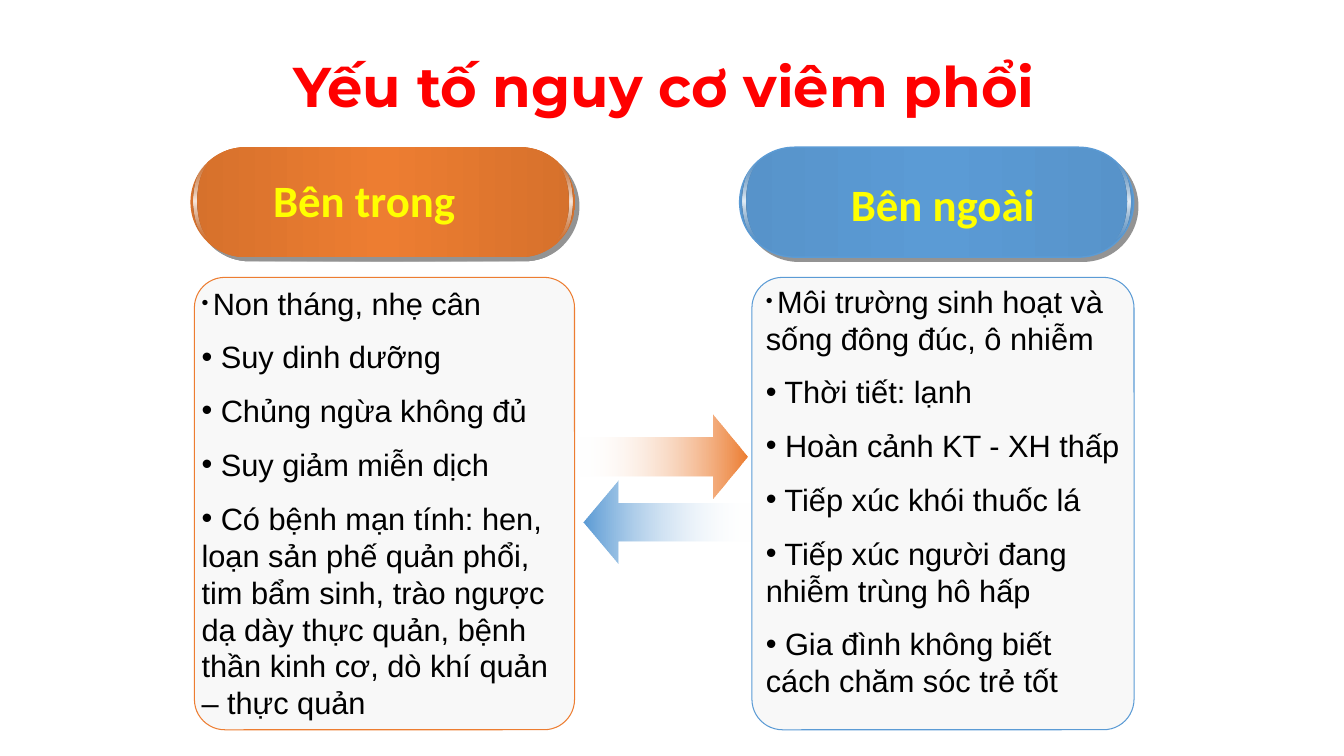
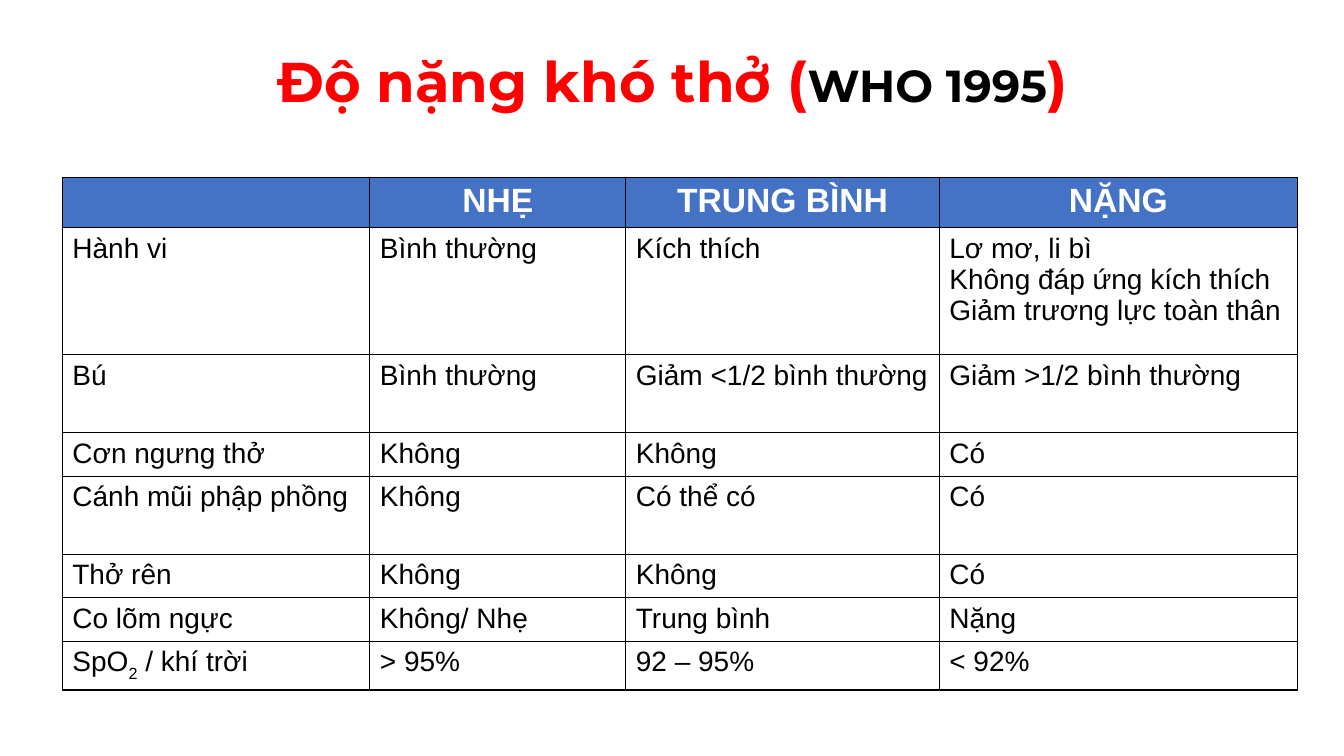
"""Build two slides on childhood pneumonia: risk factors and severity of breathing difficulty."""
from lxml.etree import SubElement
from pptx import Presentation
from pptx.dml.color import RGBColor
from pptx.enum.shapes import MSO_SHAPE as Preset
from pptx.enum.text import MSO_ANCHOR as Anchor, PP_ALIGN as Align
from pptx.oxml.ns import qn
from pptx.util import Cm, Pt

COLORS = {
    "title": "FF0000", "text": "000000", "label": "FFFF00", "white": "FFFFFF",
    "panel": "F8F8F8", "shine": "B6B6B6", "shadow": "292929", "header": "4472C4",
    "orange": "ED7D31", "orange_edge": "D6712C", "blue": "5B9BD5", "blue_edge": "5793CA",
}
BODY_FONT, LABEL_FONT, TITLE_FONT = "Arial", "Calibri", "Montserrat"

INNER_FACTORS = [
    "Non tháng, nhẹ cân", "Suy dinh dưỡng", "Chủng ngừa không đủ", "Suy giảm miễn dịch",
    "Có bệnh mạn tính: hen, \vloạn sản phế quản phổi, tim bẩm sinh, trào ngược dạ dày "
    "thực quản, bệnh thần kinh cơ, dò khí quản – thực quản",
]
OUTER_FACTORS = [
    "Môi trường sinh hoạt và sống đông đúc, ô nhiễm", "Thời tiết: lạnh",
    "Hoàn cảnh KT - XH thấp", "Tiếp xúc khói thuốc lá",
    "Tiếp xúc người đang nhiễm trùng hô hấp", "Gia đình không biết cách chăm sóc trẻ tốt",
]
SEVERITY_ROWS = [
    ["", "NHẸ", "TRUNG BÌNH", "NẶNG"],
    ["Hành vi", "Bình thường", "Kích thích",
     "Lơ mơ, li bì\nKhông đáp ứng kích thích\nGiảm trương lực toàn thân"],
    ["Bú", "Bình thường", "Giảm <1/2 bình thường", "Giảm >1/2 bình thường"],
    ["Cơn ngưng thở", "Không", "Không", "Có"],
    ["Cánh mũi phập phồng", "Không", "Có thể có", "Có"],
    ["Thở rên", "Không", "Không", "Có"],
    ["Co lõm ngực", "Không/ Nhẹ", "Trung bình", "Nặng"],
    ["SpO", "> 95%", "92 – 95%", "< 92%"],
]
COLUMN_WIDTHS = [7.75, 6.45, 7.9, 9.02]
ROW_HEIGHTS = [1.27, 3.2, 1.96, 1.09, 1.96, 1.09, 1.09, 1.09]


def rgb(name):
    return RGBColor.from_string(COLORS[name])


class Deck:
    def __init__(self):
        self.presentation = Presentation()
        self.presentation.slide_width = Cm(33.87)
        self.presentation.slide_height = Cm(19.05)
        self.slide = None

    def new_slide(self):
        self.slide = self.presentation.slides.add_slide(self.presentation.slide_layouts[6])

    def style(self, run, size, color="text", font=BODY_FONT, bold=False):
        run.font.size, run.font.name, run.font.bold = Pt(size), font, bold
        run.font.color.rgb = rgb(color)

    def text_box(self, left, top, width, height):
        text_frame = self.slide.shapes.add_textbox(
            Cm(left), Cm(top), Cm(width), Cm(height)).text_frame
        text_frame.word_wrap = True
        return text_frame

    def title(self, left, top, parts):
        text_frame = self.text_box(left, top, 29.21, 3.68)
        text_frame.vertical_anchor = Anchor.MIDDLE
        paragraph = text_frame.paragraphs[0]
        paragraph.alignment = Align.CENTER
        paragraph.line_spacing = 0.9
        for text, size, color in parts:
            run = paragraph.add_run()
            run.text = text
            self.style(run, size, color, TITLE_FONT, True)

    def label(self, left, top, text):
        text_frame = self.text_box(left, top, 6.22, 1.63)
        text_frame.text = text
        paragraph = text_frame.paragraphs[0]
        paragraph.alignment = Align.CENTER
        self.style(paragraph.runs[0], 32, "label", LABEL_FONT, True)

    def shape(self, preset, left, top, width, height, adjustments, line=None, line_width=0.75):
        shape = self.slide.shapes.add_shape(preset, Cm(left), Cm(top), Cm(width), Cm(height))
        shape.shadow.inherit = False
        for index, value in enumerate(adjustments):
            shape.adjustments[index] = value
        if line:
            shape.line.color.rgb = rgb(line)
            shape.line.width = Pt(line_width)
        else:
            shape.line.fill.background()
        return shape

    def gradient(self, shape, stops, angle=0):
        shape.fill.gradient()
        shape.fill.gradient_angle = angle
        stop_list = shape._element.spPr.find(qn("a:gradFill")).find(qn("a:gsLst"))
        for stop in list(stop_list):
            stop_list.remove(stop)
        for position, color, opacity in stops:
            stop = SubElement(stop_list, qn("a:gs"), pos=str(position * 1000))
            fill = SubElement(stop, qn("a:srgbClr"), val=COLORS[color])
            SubElement(fill, qn("a:alpha"), val=str(opacity * 1000))

    def drop_shadow(self, shape):
        effects = shape._element.spPr.find(qn("a:effectLst"))
        shadow = SubElement(effects, qn("a:outerShdw"), blurRad="0", dist=str(Pt(4.2)),
                            dir="2700000", algn="ctr", rotWithShape="0")
        color = SubElement(shadow, qn("a:srgbClr"), val=COLORS["shadow"])
        SubElement(color, qn("a:alpha"), val="50000")

    def pill(self, left, width, color, line=None):
        pill = self.shape(Preset.ROUNDED_RECTANGLE, left, 3.71, width, 2.77, [0.5], line, 1)
        edge = color + "_edge"
        self.gradient(pill, [(0, edge, 100), (50, color, 100), (100, edge, 100)])
        self.drop_shadow(pill)
        inset, shine_width = 0.08, 0.43
        for shine_left, rotation in ((left + width - inset - shine_width, 180), (left + inset, 0)):
            shine = self.shape(Preset.MOON, shine_left, 4.11, shine_width, 1.93, [0.22])
            shine.rotation = rotation
            self.gradient(shine, [(0, "shine", 0), (50, "white", 84), (100, "shine", 0)], 90)

    def panel(self, left, width, color):
        panel = self.shape(Preset.ROUNDED_RECTANGLE, left, 6.99, width, 11.4, [0.08], color)
        panel.fill.solid()
        panel.fill.fore_color.rgb = rgb("panel")

    def arrow(self, preset, left, top, stops):
        arrow = self.shape(preset, left, top, 4.25, 2.11, [0.465, 0.421])
        self.gradient(arrow, stops)

    def bullets(self, left, top, items):
        text_frame = self.text_box(left, top, 9.47, 11.38)
        for index, item in enumerate(items):
            paragraph = text_frame.add_paragraph() if index else text_frame.paragraphs[0]
            paragraph.space_before = paragraph.space_after = Pt(6)
            paragraph.line_spacing = 1.0
            if index:
                paragraph.text = " " + item
            else:
                paragraph.text = " "
                paragraph.add_run().text = item
            for run in paragraph.runs:
                self.style(run, 22)
            if not index:
                self.style(paragraph.runs[0], 14, font=LABEL_FONT, bold=True)
            properties = paragraph._p.get_or_add_pPr()
            SubElement(properties, qn("a:buFont"), typeface=BODY_FONT)
            SubElement(properties, qn("a:buChar"), char="•")

    def border(self, cell):
        properties = cell._tc.get_or_add_tcPr()
        for index, side in enumerate(("lnL", "lnR", "lnT", "lnB")):
            line = properties.makeelement(qn("a:" + side), {"w": str(Pt(1))})
            fill = SubElement(line, qn("a:solidFill"))
            SubElement(fill, qn("a:srgbClr"), val=COLORS["text"])
            properties.insert(index, line)

    def table(self, left, top, rows, widths, heights):
        table = self.slide.shapes.add_table(
            len(rows), len(widths), Cm(left), Cm(top), Cm(sum(widths)), Cm(sum(heights))).table
        for column, width in zip(table.columns, widths):
            column.width = Cm(width)
        for row, height in zip(table.rows, heights):
            row.height = Cm(height)
        for row_index, row in enumerate(rows):
            header = row_index == 0
            for column_index, text in enumerate(row):
                cell = table.cell(row_index, column_index)
                cell.text_frame.text = text
                cell.fill.solid()
                cell.fill.fore_color.rgb = rgb("header" if header else "white")
                self.border(cell)
                for paragraph in cell.text_frame.paragraphs:
                    paragraph.alignment = Align.CENTER if header else Align.LEFT
                    for run in paragraph.runs:
                        self.style(run, 24 if header else 20,
                                   "white" if header else "text", bold=header)
        return table

    def subscript(self, cell, subscript, rest):
        paragraph = cell.text_frame.paragraphs[0]
        for text, baseline in ((subscript, "-25000"), (rest, "0")):
            run = paragraph.add_run()
            run.text = text
            self.style(run, 20)
            run._r.get_or_add_rPr().set("baseline", baseline)


def main():
    deck = Deck()
    deck.new_slide()
    deck.title(2.13, 0.41, [("Yếu tố nguy cơ viêm phổi", 40, "title")])
    deck.pill(4.8, 9.7, "orange")
    deck.pill(18.64, 9.93, "blue", "blue")
    deck.panel(4.9, 9.58, "orange")
    deck.panel(18.95, 9.63, "blue")
    deck.label(6.07, 4.22, "Bên trong")
    deck.label(20.65, 4.34, "Bên ngoài")
    deck.arrow(Preset.RIGHT_ARROW, 14.6, 10.45, [(0, "white", 0), (100, "orange", 100)])
    deck.arrow(Preset.LEFT_ARROW, 14.7, 12.1, [(0, "blue", 100), (100, "white", 0)])
    deck.bullets(4.83, 7.04, INNER_FACTORS)
    deck.bullets(19.05, 6.99, OUTER_FACTORS)

    deck.new_slide()
    deck.title(2.34, 0.28, [("Độ nặng khó thở (", 40, "title"), ("WHO 1995", 32, "text"),
                            (")", 40, "title")])
    table = deck.table(1.57, 4.47, SEVERITY_ROWS, COLUMN_WIDTHS, ROW_HEIGHTS)
    deck.subscript(table.cell(len(SEVERITY_ROWS) - 1, 0), "2", " / khí trời")
    deck.presentation.save("out.pptx")


if __name__ == "__main__":
    main()
